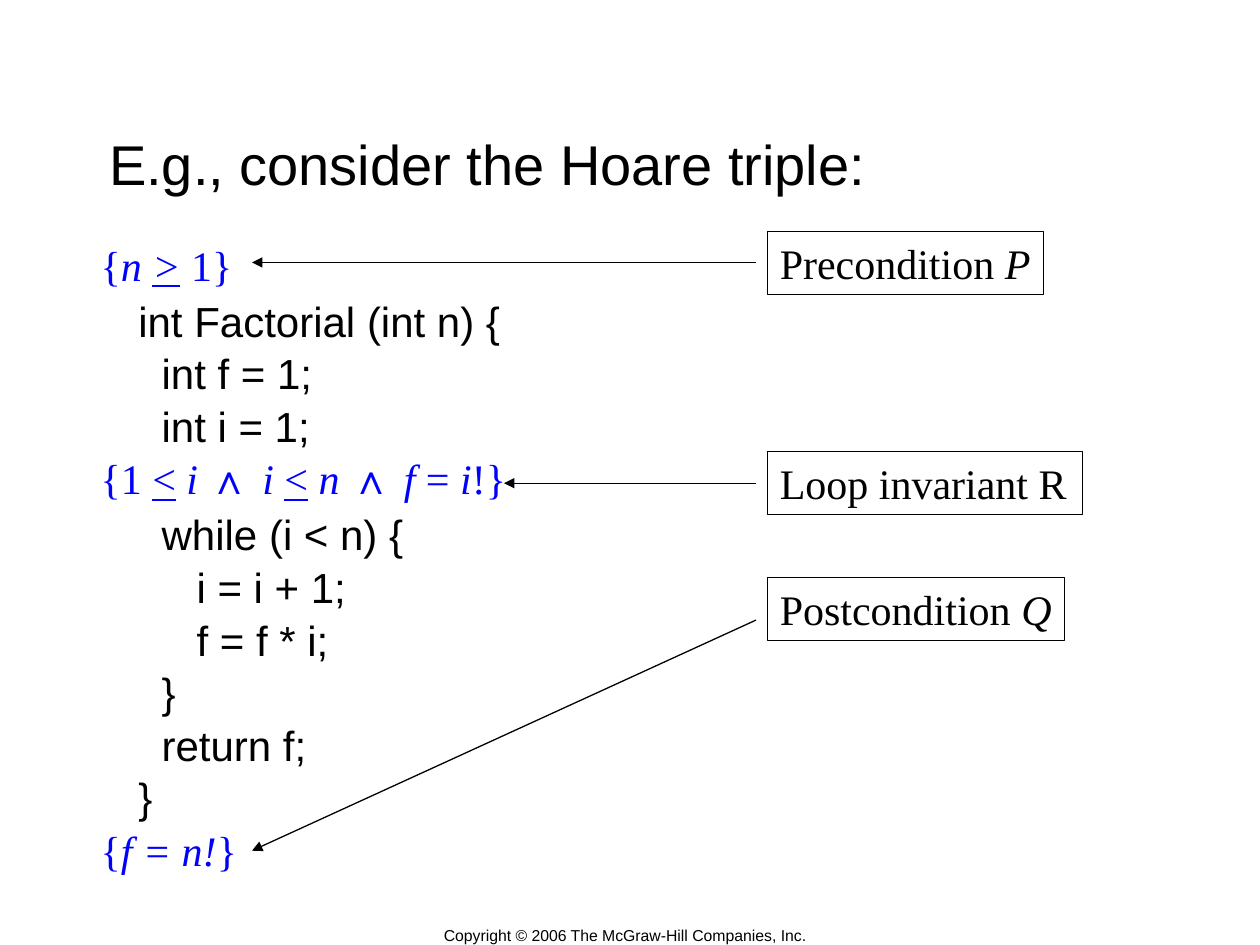
"""Build the slide that annotates a Hoare triple for a factorial function."""
from dataclasses import dataclass

import lxml.etree
import pptx
import pptx.dml.color
import pptx.enum.shapes
import pptx.enum.text
import pptx.oxml.ns
import pptx.util

Cm, Pt = pptx.util.Cm, pptx.util.Pt
RGB = pptx.dml.color.RGBColor


@dataclass(frozen=True)
class Theme:
    ink: RGB = RGB(0, 0, 0)
    assertion: RGB = RGB(0, 0, 255)
    sans: str = "Arial"
    serif: str = "Times New Roman"
    title_size: int = 32
    body_size: int = 24
    footer_size: int = 9


class SlideBuilder:
    def __init__(self, prs, theme):
        self.theme = theme
        self.slide = prs.slides.add_slide(prs.slide_layouts[6])

    def run(self, p, text, font, size, color, marks=""):
        r = p.add_run()
        r.text = text
        r.font.name, r.font.size = font, Pt(size)
        r.font.color.rgb = color
        r.font.italic = "i" in marks
        r.font.underline = "u" in marks

    def text_box(self, left, top, width, height, inset=True):
        sp = self.slide.shapes.add_textbox(Cm(left), Cm(top), Cm(width), Cm(height))
        tf = sp.text_frame
        tf.word_wrap = True
        if not inset:
            tf.margin_left = tf.margin_right = tf.margin_top = tf.margin_bottom = 0
        return tf

    def title(self, text):
        tf = self.text_box(1.95, 2.57, 20.8, 1.45)
        tf.vertical_anchor = pptx.enum.text.MSO_ANCHOR.MIDDLE
        self.run(tf.paragraphs[0], text, self.theme.sans, self.theme.title_size, self.theme.ink)

    def footer(self, text):
        p = self.text_box(0, 18.67, 25.2, 0.38, inset=False).paragraphs[0]
        p.alignment = pptx.enum.text.PP_ALIGN.CENTER
        p.line_spacing = Pt(10.6)
        self.run(p, text, self.theme.sans, self.theme.footer_size, self.theme.ink)

    def program(self, lines):
        t = self.theme
        tf = self.text_box(1.27, 4.87, 24.13, 13.13)
        for n, line in enumerate(lines):
            p = tf.add_paragraph() if n else tf.paragraphs[0]
            is_code = isinstance(line, str)
            p.line_spacing = Pt(24)
            p.space_after = Pt(6 if is_code else 8)
            p._p.get_or_add_pPr().set("marL", str(Cm(1.27 if is_code else 0.51)))
            if is_code:
                self.run(p, line, t.sans, t.body_size, t.ink)
                continue
            for text, marks in line:
                font = t.sans if "s" in marks else t.serif
                self.run(p, text, font, t.body_size, t.assertion, marks)

    def label(self, top, width, text, symbol=""):
        t = self.theme
        rect = pptx.enum.shapes.MSO_SHAPE.RECTANGLE
        sp = self.slide.shapes.add_shape(rect, Cm(15.47), Cm(top), Cm(width), Cm(1.27))
        sp.shadow.inherit = False
        sp.fill.background()
        sp.line.color.rgb, sp.line.width = t.ink, Pt(0.25)
        tf = sp.text_frame
        tf.word_wrap = False
        tf.auto_size = pptx.enum.text.MSO_AUTO_SIZE.SHAPE_TO_FIT_TEXT
        tf.vertical_anchor = pptx.enum.text.MSO_ANCHOR.TOP
        p = tf.paragraphs[0]
        p.alignment = pptx.enum.text.PP_ALIGN.LEFT
        self.run(p, text, t.serif, t.body_size, t.ink)
        if symbol:
            self.run(p, symbol, t.serif, t.body_size, t.ink, "i")

    def arrow(self, x1, y1, x2, y2):
        straight = pptx.enum.shapes.MSO_CONNECTOR.STRAIGHT
        cxn = self.slide.shapes.add_connector(straight, Cm(x1), Cm(y1), Cm(x2), Cm(y2))
        cxn.line.color.rgb, cxn.line.width = self.theme.ink, Pt(0.75)
        qn = pptx.oxml.ns.qn
        lxml.etree.SubElement(cxn.line._get_or_add_ln(), qn("a:tailEnd"), type="triangle")
        lxml.etree.SubElement(cxn._element.spPr, qn("a:effectLst"))


PROGRAM = [
    [("{", ""), ("n ", "i"), (">", "iu"), (" ", "i"), ("1}", "")],
    "int Factorial (int n) {",
    "  int f = 1;",
    "  int i = 1;",
    [("{1 ", ""), ("<", "u"), (" ", ""), ("i ", "i"), ("∧ ", "s"), ("i ", "i"),
     ("<", "u"), (" ", ""), ("n ", "i"), ("∧ ", "s"), ("f", "i"), (" = ", ""),
     ("i", "i"), ("!}", "")],
    "  while (i < n) {",
    "     i = i + 1;",
    "     f = f * i;",
    "  }",
    "  return f;",
    "}",
    [("{", ""), ("f = n!", "i"), ("}", "")],
]


def main():
    prs = pptx.Presentation()
    prs.slide_width, prs.slide_height = Cm(25.4), Cm(19.05)
    s = SlideBuilder(prs, Theme())
    s.footer("Copyright © 2006 The McGraw-Hill Companies, Inc.")
    s.title("E.g., consider the Hoare triple:")
    s.program(PROGRAM)
    for start_y, end_x, end_y in [(12.5, 5.08, 17.15), (9.74, 10.16, 9.74), (5.29, 5.08, 5.29)]:
        s.arrow(15.24, start_y, end_x, end_y)
    s.label(4.66, 5.56, "Precondition ", "P")
    s.label(11.64, 5.99, "Postcondition ", "Q")
    s.label(9.1, 6.35, "Loop invariant R")
    prs.save("out.pptx")


if __name__ == "__main__":
    main()
